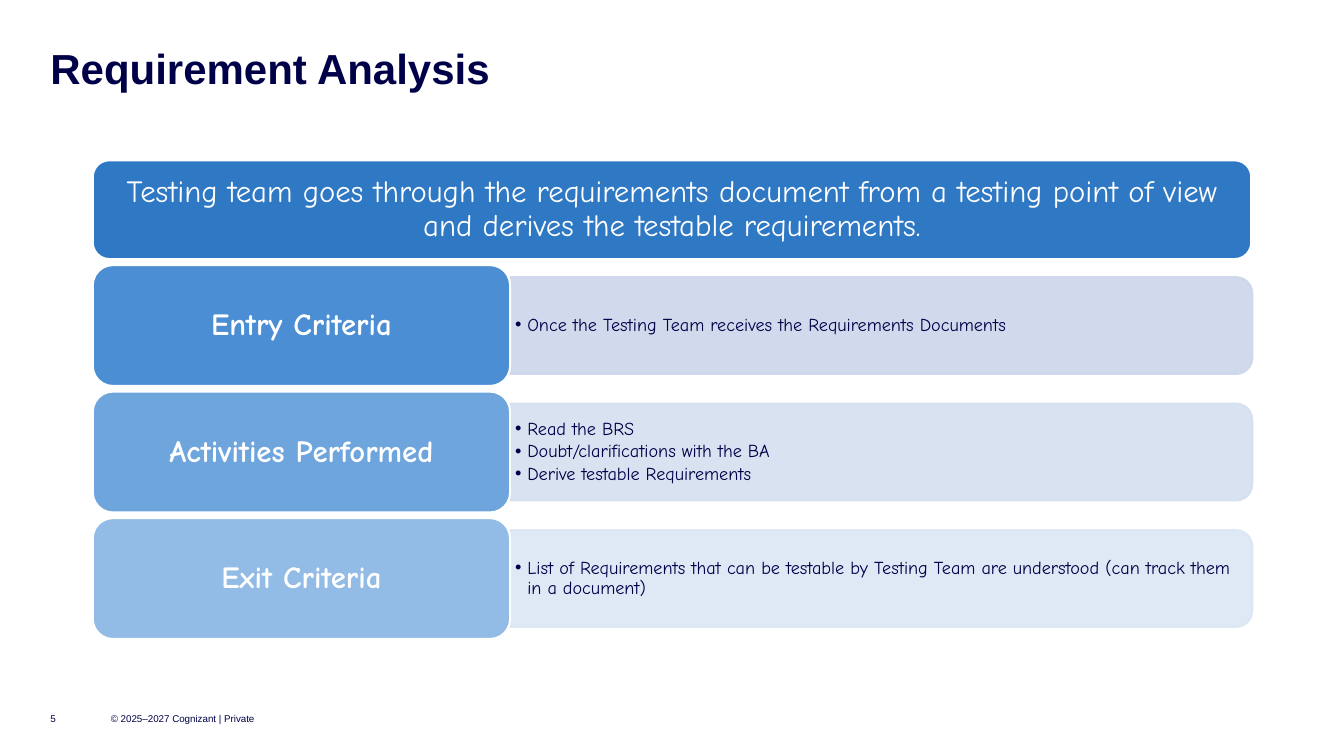
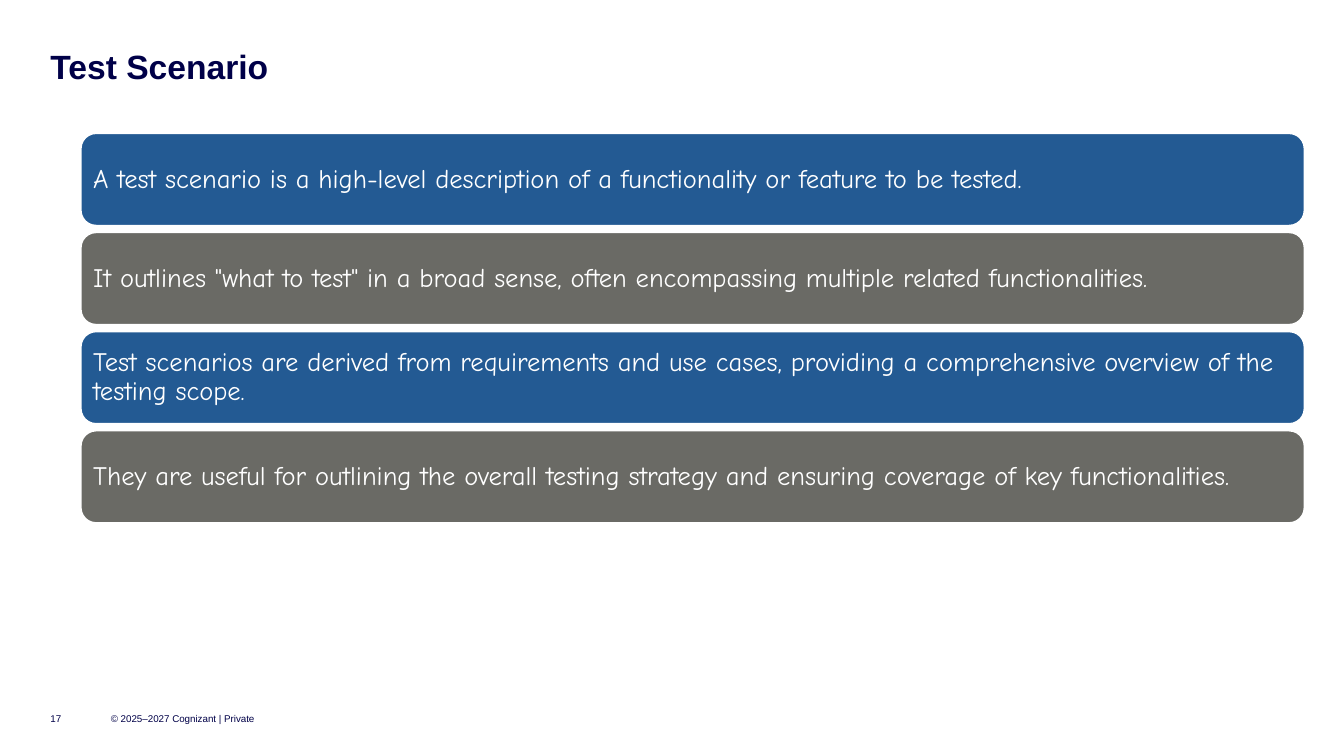
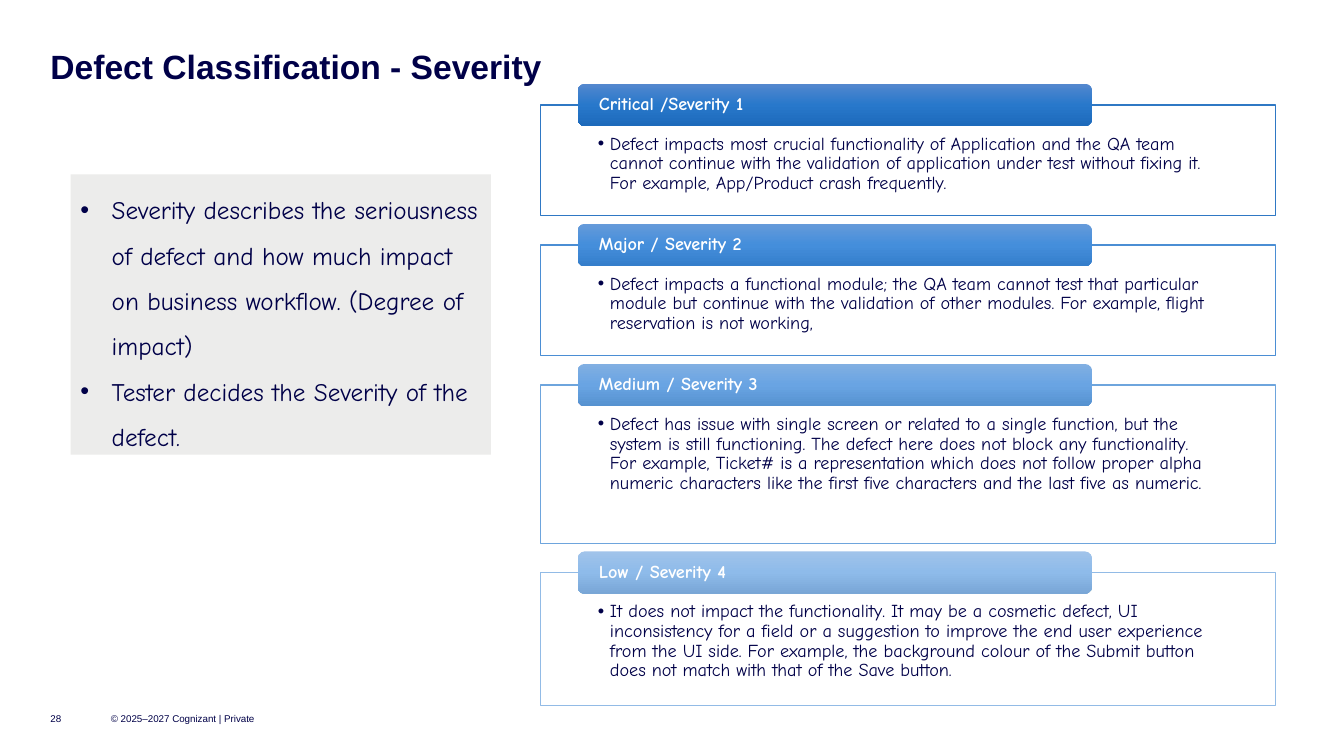
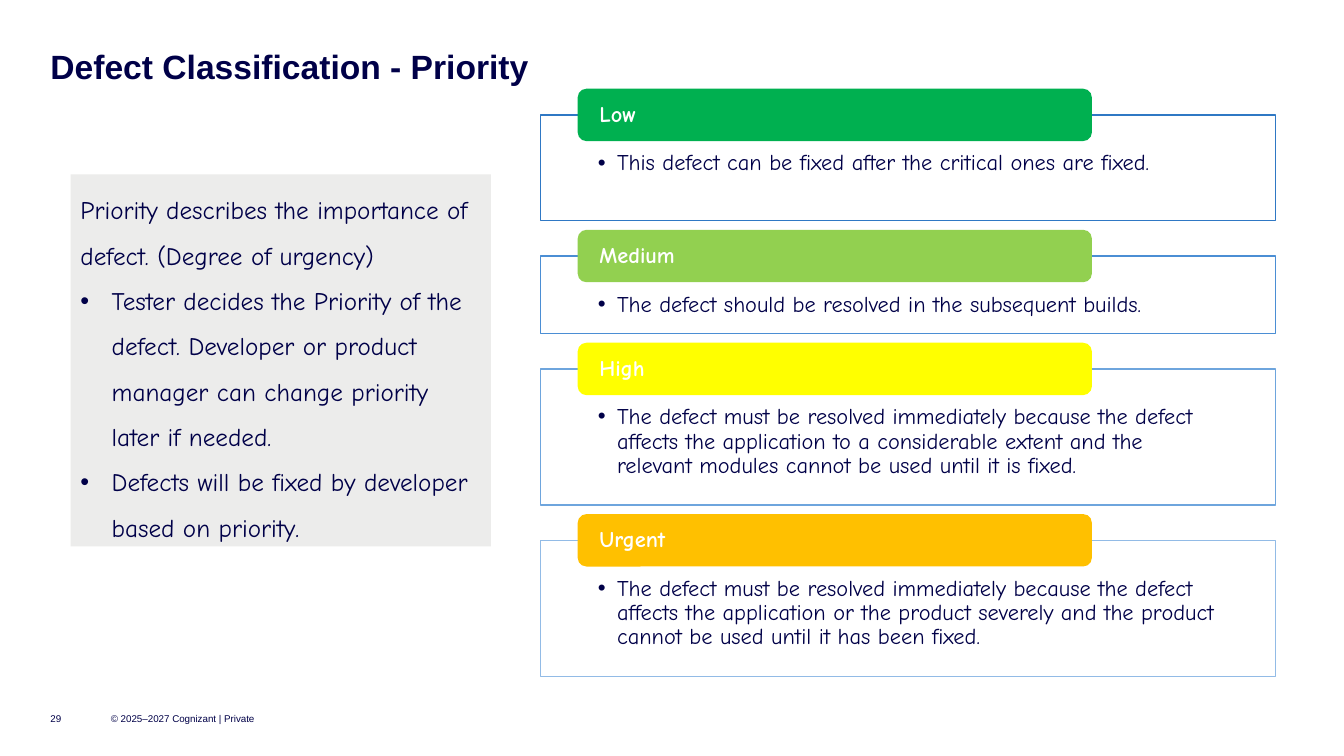
from dataclasses import dataclass
from itertools import accumulate, cycle

from pptx import Presentation
from pptx.dml.color import RGBColor
from pptx.enum.shapes import MSO_SHAPE
from pptx.enum.text import MSO_ANCHOR, PP_ALIGN
from pptx.oxml.ns import qn
from pptx.util import Inches, Pt
from lxml import etree

RECT = MSO_SHAPE.RECTANGLE
ROUNDED = MSO_SHAPE.ROUNDED_RECTANGLE
TOP_ROUNDED = MSO_SHAPE.ROUND_2_SAME_RECTANGLE
TOP, MIDDLE = MSO_ANCHOR.TOP, MSO_ANCHOR.MIDDLE
LEFT, CENTER = PP_ALIGN.LEFT, PP_ALIGN.CENTER


@dataclass(frozen=True)
class Theme:
    title_font: str = "Arial"
    body_font: str = "Comic Neue"
    navy: str = "000048"
    white: str = "FFFFFF"
    note: str = "ECECEB"
    blues: tuple = ("2F78C4", "4B8ED4", "6EA5DD", "92BBE6")
    tints: tuple = ("CDD6EA", "D4DFF0", "DCE7F5")
    stripes: tuple = ("235A93", "6A6A65")
    severity: tuple = (
        ("5488CE", "2878CB", "1D6ABB"),
        ("669BDA", "448EDB", "357ECB"),
        ("81AFE2", "69A4E3", "5692D0"),
        ("A0C3EA", "8EBBEA", "79A6D6"),
    )
    priority: tuple = ("00B050", "92D050", "FFFF00", "FFC000")
    opacity: int = 90
    large_title: int = 30
    title: int = 24
    heading: int = 22
    statement: int = 19
    note_size: int = 18
    detail: int = 16
    small: int = 13
    footer: int = 7


@dataclass(frozen=True)
class Box:
    x: float
    y: float
    w: float
    h: float

    def inches(self):
        return [Inches(length) for length in (self.x, self.y, self.w, self.h)]


@dataclass(frozen=True)
class Style:
    size: float
    color: str = "FFFFFF"
    font: str = "Comic Neue"
    bold: bool = False
    align: int = LEFT
    anchor: int = MIDDLE
    insets: tuple = (0, 0, 0, 0)
    spacing: float = 0.9
    after: float = 0
    indent: float = 0


THEME = Theme()
COPYRIGHT = "© 2025–2027 Cognizant | Private"


def set_alpha(fill_element, percent):
    color = fill_element.find(qn("a:srgbClr"))
    etree.SubElement(color, qn("a:alpha")).set("val", str(percent * 1000))


def fill_gradient(shape, colors):
    shape.fill.gradient()
    shape.fill.gradient_angle = 270
    stops = shape._element.spPr.find(qn("a:gradFill")).find(qn("a:gsLst"))
    for stop in list(stops):
        stops.remove(stop)
    for index, color in enumerate(colors):
        stop = etree.SubElement(stops, qn("a:gs"))
        stop.set("pos", str(index * 100000 // (len(colors) - 1)))
        etree.SubElement(stop, qn("a:srgbClr")).set("val", color)


def add_panel(slide, kind, box, fill, line=None, width=1.5, opacity=None, line_opacity=None):
    shape = slide.shapes.add_shape(kind, *box.inches())
    shape.shadow.inherit = False
    if isinstance(fill, tuple):
        fill_gradient(shape, fill)
    else:
        shape.fill.solid()
        shape.fill.fore_color.rgb = RGBColor.from_string(fill)
    if line:
        shape.line.color.rgb = RGBColor.from_string(line)
        shape.line.width = Pt(width)
    else:
        shape.line.fill.background()
    properties = shape._element.spPr
    if opacity:
        set_alpha(properties.find(qn("a:solidFill")), opacity)
    if line_opacity:
        set_alpha(properties.find(qn("a:ln")).find(qn("a:solidFill")), line_opacity)
    return shape


def add_bullet(paragraph, indent):
    properties = paragraph._p.get_or_add_pPr()
    properties.set("marL", str(Inches(indent)))
    properties.set("indent", str(-Inches(indent)))
    etree.SubElement(properties, qn("a:buFont")).set("typeface", THEME.title_font)
    etree.SubElement(properties, qn("a:buChar")).set("char", "•")


def write(shape, lines, style, plain_lines=0):
    frame = shape.text_frame
    frame.word_wrap = True
    frame.vertical_anchor = style.anchor
    frame.margin_left, frame.margin_top, frame.margin_right, frame.margin_bottom = (
        Inches(inset) for inset in style.insets
    )
    for index, line in enumerate(lines):
        paragraph = frame.add_paragraph() if index else frame.paragraphs[0]
        if style.indent and index >= plain_lines:
            add_bullet(paragraph, style.indent)
        paragraph.alignment = style.align
        paragraph.line_spacing = style.spacing
        paragraph.space_after = Pt(style.after)
        run = paragraph.add_run()
        run.text = line
        run.font.name = style.font
        run.font.size = Pt(style.size)
        run.font.bold = style.bold
        run.font.color.rgb = RGBColor.from_string(style.color)


def add_text(slide, box, lines, style):
    write(slide.shapes.add_textbox(*box.inches()), lines, style)


def spread(box, count, height):
    pitch = (box.h - height) / (count - 1)
    return [Box(box.x, box.y + index * pitch, box.w, height) for index in range(count)]


def start_slide(deck, title, number, size=THEME.title, top=0.5):
    slide = deck.slides.add_slide(deck.slide_layouts[6])
    title_style = Style(size, THEME.navy, THEME.title_font, bold=True, anchor=TOP)
    footer_style = Style(THEME.footer, THEME.navy, THEME.title_font, spacing=1)
    add_text(slide, Box(0.5, top, 12.33, size * 0.015), [title], title_style)
    add_text(slide, Box(1.1, 7, 1.5, 0.25), [COPYRIGHT], footer_style)
    add_text(slide, Box(0.5, 7, 0.4, 0.25), [str(number)], footer_style)
    return slide


def add_banner(slide, box, text):
    banner = add_panel(slide, ROUNDED, box, THEME.blues[0], THEME.white)
    write(banner, [text], Style(THEME.heading, align=CENTER, insets=(0.09, 0.05, 0.09, 0.05)))


def add_criteria_row(slide, box, heading, points, color, tint):
    label_width, body_height = 4.14, 0.96
    body = Box(box.x + label_width, box.y + (box.h - body_height) / 2,
               box.w - label_width, body_height)
    upright = Box(body.x + (body.w - body.h) / 2, body.y - (body.w - body.h) / 2,
                  body.h, body.w)
    backing = add_panel(slide, TOP_ROUNDED, upright, tint, tint,
                        opacity=THEME.opacity, line_opacity=THEME.opacity)
    backing.rotation = 90
    add_text(slide, Box(body.x, body.y, body.w - 0.05, body.h), points,
             Style(THEME.small, THEME.navy, insets=(0.05, 0.03, 0.05, 0.03),
                   after=2, indent=0.12))
    label = add_panel(slide, ROUNDED, Box(box.x, box.y, label_width, box.h),
                      color, THEME.white)
    write(label, [heading], Style(THEME.heading, bold=True, align=CENTER,
                                  insets=(0.09, 0.05, 0.09, 0.05)))


def add_statements(slide, box, statements):
    rows = spread(box, len(statements), 0.92)
    for row, statement, color in zip(rows, statements, cycle(THEME.stripes)):
        bar = add_panel(slide, ROUNDED, row, color, THEME.white)
        write(bar, [statement], Style(THEME.statement, insets=(0.08,) * 4))


def add_note(slide, box, lines, plain_lines=0):
    note = add_panel(slide, RECT, box, THEME.note)
    write(note, lines, Style(THEME.note_size, THEME.navy, anchor=TOP, spacing=1.5,
                             insets=(0.1, 0.05, 0.1, 0.05), indent=0.31), plain_lines)


def add_level(slide, box, heading, detail, outline, color, size, tab_height, indent):
    body = add_panel(slide, RECT, box, THEME.white, outline, 1, THEME.opacity)
    write(body, [detail], Style(size, THEME.navy, anchor=TOP, indent=indent,
                                insets=(0.57, tab_height * 0.7, 0.57, 0.1)))
    tab = add_panel(slide, ROUNDED,
                    Box(box.x + 0.37, box.y - tab_height / 2, 5.1, tab_height), color)
    write(tab, [heading], Style(size, bold=True, insets=(0.19, 0, 0.19, 0)))


def add_levels(slide, top, gap, levels, colors, size, tab_height, indent):
    tops = accumulate((height + gap for _, _, height in levels), initial=top)
    for y, (heading, detail, height), outline, color in zip(tops, levels, THEME.blues, colors):
        add_level(slide, Box(5.36, y, 7.29, height), heading, detail,
                  outline, color, size, tab_height, indent)


def requirement_slide(deck):
    slide = start_slide(deck, "Requirement Analysis", 5, THEME.large_title, 0.48)
    add_banner(slide, Box(0.92, 1.59, 11.49, 0.98),
               "Testing team goes through the requirements document from a testing "
               "point of view and derives the testable requirements.")
    criteria = [
        ("Entry Criteria", ["Once the Testing Team receives the Requirements Documents"]),
        ("Activities Performed", ["Read the BRS", "Doubt/clarifications with the BA",
                                  "Derive testable Requirements"]),
        ("Exit Criteria", ["List of Requirements that can be testable by Testing Team "
                           "are understood (can track them in a document)"]),
    ]
    rows = spread(Box(0.92, 2.63, 11.5, 3.71), len(criteria), 1.2)
    for row, (heading, points), color, tint in zip(rows, criteria, THEME.blues[1:], THEME.tints):
        add_criteria_row(slide, row, heading, points, color, tint)


def scenario_slide(deck):
    slide = start_slide(deck, "Test Scenario", 17)
    add_statements(slide, Box(0.8, 1.32, 12.14, 3.87), [
        "A test scenario is a high-level description of a functionality or feature to be tested.",
        "It outlines \"what to test\" in a broad sense, often encompassing multiple "
        "related functionalities.",
        "Test scenarios are derived from requirements and use cases, providing a "
        "comprehensive overview of the testing scope.",
        "They are useful for outlining the overall testing strategy and ensuring "
        "coverage of key functionalities.",
    ])


def severity_slide(deck):
    slide = start_slide(deck, "Defect Classification - Severity", 28)
    add_note(slide, Box(0.7, 1.73, 4.17, 2.78), [
        "Severity describes the seriousness of defect and how much impact on business "
        "workflow. (Degree of impact)",
        "Tester decides the Severity of the defect.",
    ])
    levels = [
        ("Critical /Severity 1",
         "Defect impacts most crucial functionality of Application and the QA team cannot "
         "continue with the validation of application under test without fixing it. "
         "For example, App/Product crash frequently.", 1.1),
        ("Major / Severity 2",
         "Defect impacts a functional module; the QA team cannot test that particular module "
         "but continue with the validation of other modules. For example, flight reservation "
         "is not working,", 1.1),
        ("Medium / Severity 3",
         "Defect has issue with single screen or related to a single function, but the system "
         "is still functioning. The defect here does not block any functionality. For example, "
         "Ticket# is a representation which does not follow proper alpha numeric characters "
         "like the first five characters and the last five as numeric.", 1.57),
        ("Low / Severity 4",
         "It does not impact the functionality. It may be a cosmetic defect, UI inconsistency "
         "for a field or a suggestion to improve the end user experience from the UI side. "
         "For example, the background colour of the Submit button does not match with that "
         "of the Save button.", 1.32),
    ]
    add_levels(slide, 1.04, 0.29, levels, THEME.severity, THEME.small, 0.42, 0.12)


def priority_slide(deck):
    slide = start_slide(deck, "Defect Classification - Priority", 29)
    add_note(slide, Box(0.7, 1.73, 4.17, 3.69), [
        "Priority describes the importance of defect. (Degree of urgency)",
        "Tester decides the Priority of the defect. Developer or product manager can "
        "change priority later if needed.",
        "Defects will be fixed by developer based on priority.",
    ], plain_lines=1)
    levels = [
        ("Low", "This defect can be fixed after the critical ones are fixed.", 1.05),
        ("Medium", "The defect should be resolved in the subsequent builds.", 0.77),
        ("High",
         "The defect must be resolved immediately because the defect affects the application "
         "to a considerable extent and the relevant modules cannot be used until it is fixed.",
         1.35),
        ("Urgent",
         "The defect must be resolved immediately because the defect affects the application "
         "or the product severely and the product cannot be used until it has been fixed.",
         1.35),
    ]
    add_levels(slide, 1.14, 0.35, levels, THEME.priority, THEME.detail, 0.52, 0.19)


def main():
    deck = Presentation()
    deck.slide_width, deck.slide_height = Inches(13.33), Inches(7.5)
    for build in (requirement_slide, scenario_slide, severity_slide, priority_slide):
        build(deck)
    deck.save("out.pptx")


if __name__ == "__main__":
    main()
